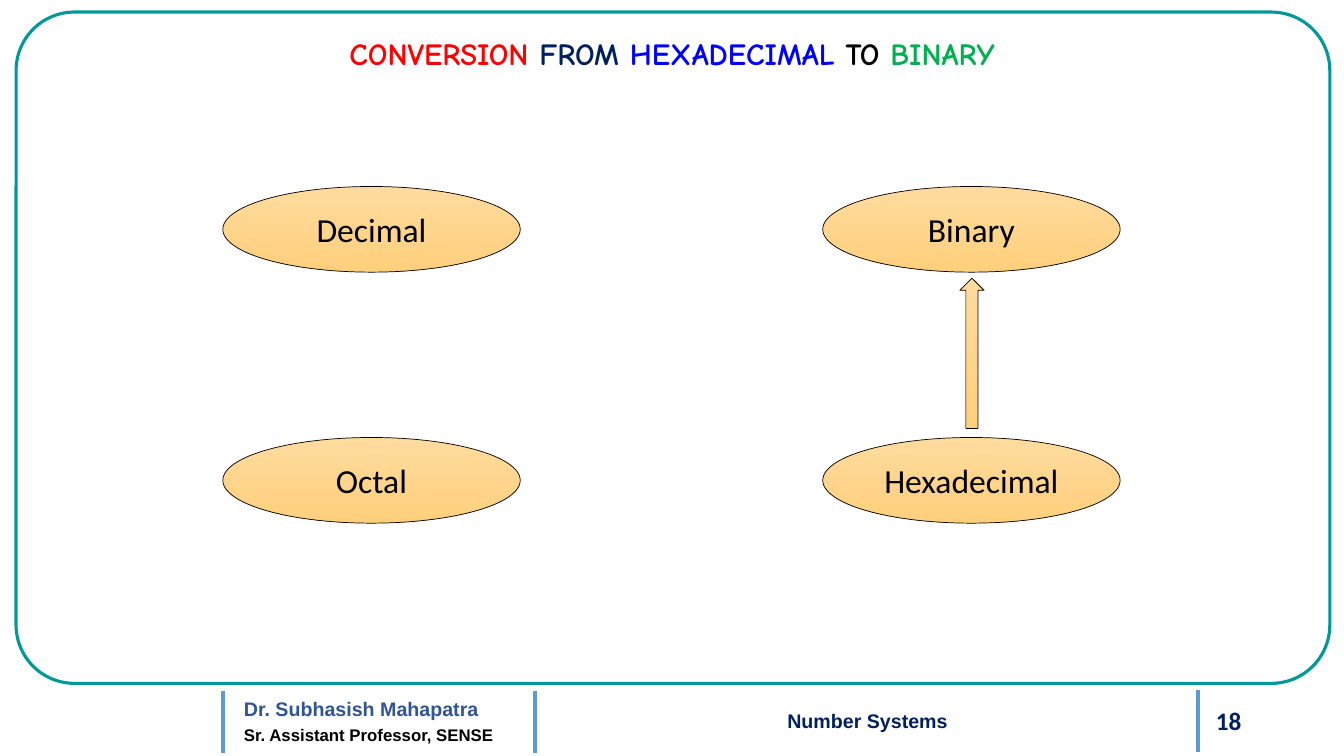
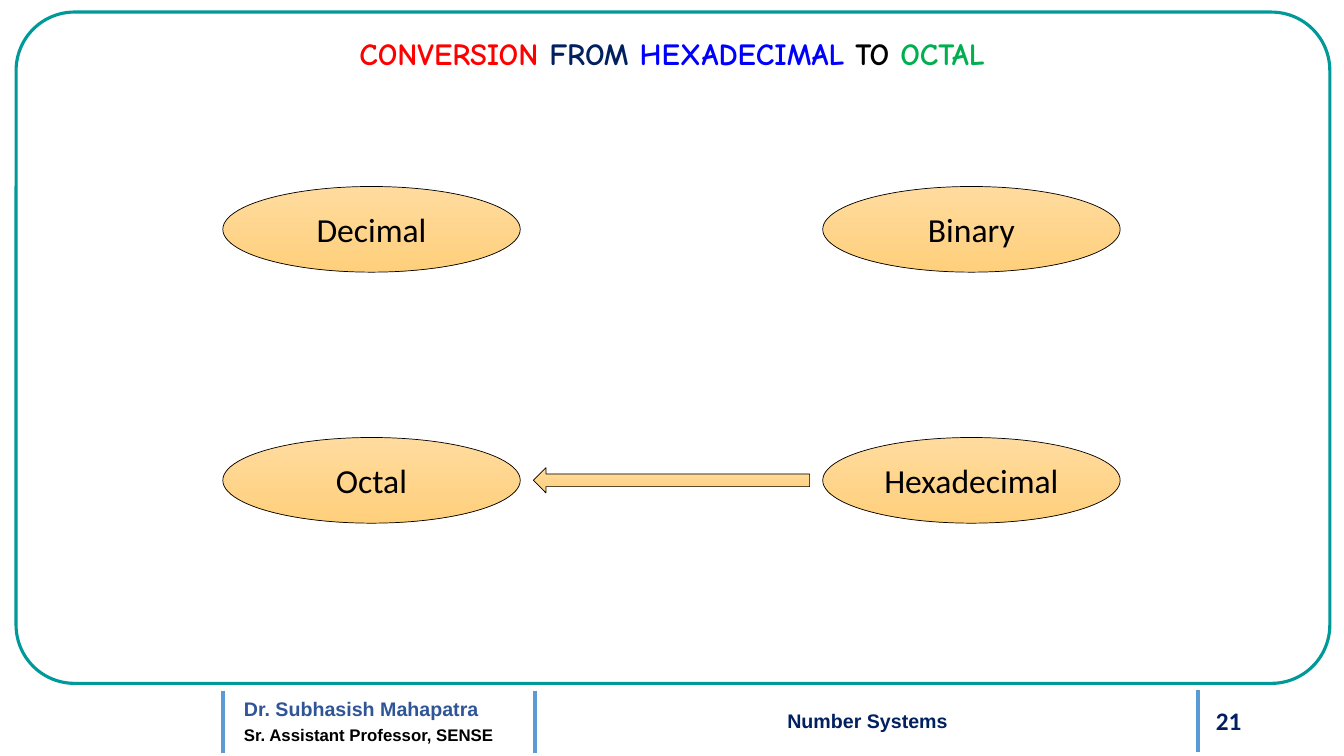
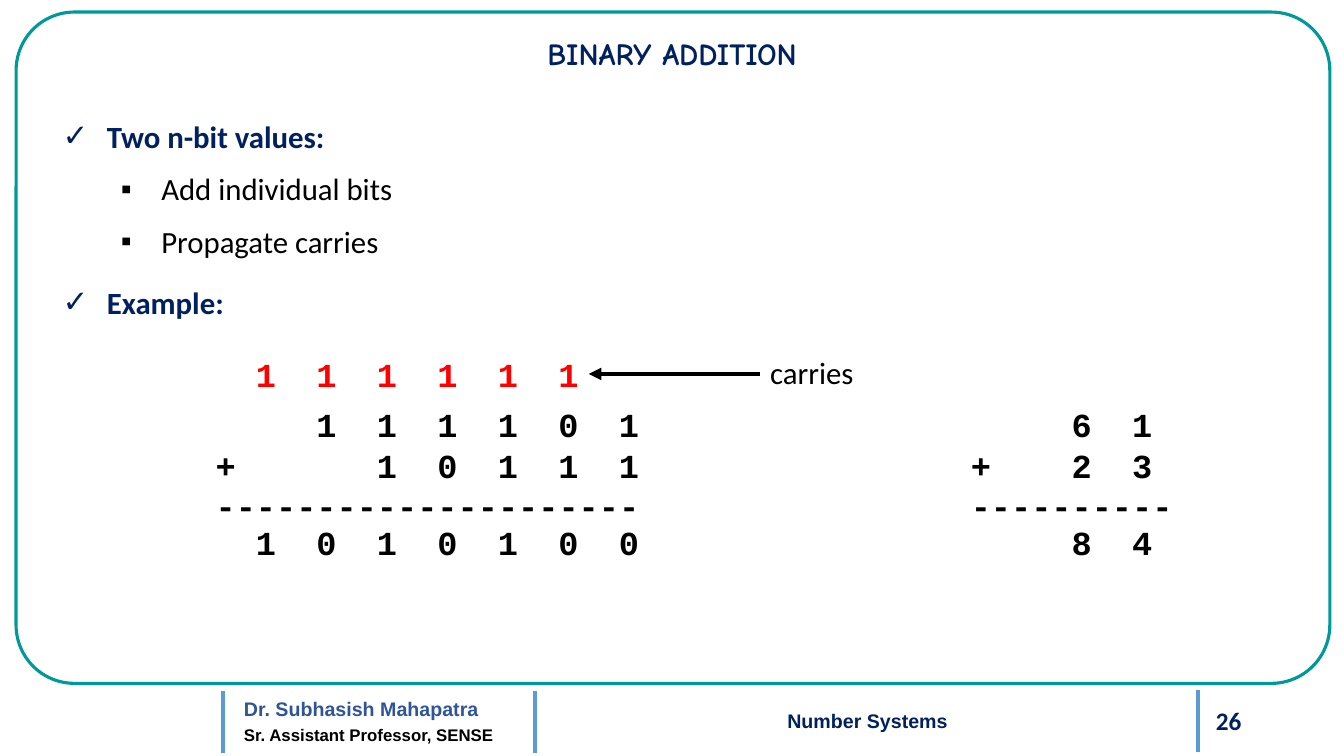
from lxml import etree
from pptx import Presentation
from pptx import util as u
from pptx.dml.color import RGBColor
from pptx.enum import shapes as sh, text as tx
from pptx.oxml import ns

WIDE, HIGH = 13.33, 7.5
WHITE = RGBColor(0xFF, 0xFF, 0xFF)
BLACK = RGBColor(0, 0, 0)
RED = RGBColor(0xFF, 0, 0)
GREEN = RGBColor(0, 0xB0, 0x50)
BLUE = RGBColor(0, 0, 0xFF)
NAVY = RGBColor(0, 0x20, 0x60)
STEEL = RGBColor(0x2F, 0x55, 0x97)
SKY = RGBColor(0x5B, 0x9B, 0xD5)
TEAL = RGBColor(0, 0x99, 0x99)
PALE = RGBColor(0xFF, 0xDB, 0x9E)
AMBER = RGBColor(0xFF, 0xD0, 0x7C)

SHAPE = sh.MSO_SHAPE
ALIGN = tx.PP_ALIGN
ANCHOR = tx.MSO_ANCHOR

# Shared margins of title and body
LEFT, SPAN = 0.52, 12.29

# Grid of the diagram: ovals in two columns and two rows
OVAL_W, OVAL_H = 2.95, 0.85
COLS = [2.21, 8.16]
ROWS = [1.85, 4.34]

# Grid of the sums: one cell per digit
PITCH, CELL_W, CELL_H = 0.6, 0.4, 0.5
INSET = 0.1
CARRY_Y, SUM_Y, TOTAL_Y = 3.46, 3.96, 5.13
CODE = dict(font="Courier New", size=24, bold=True)


def inches(*vals):
    return [u.Inches(v) for v in vals]


def add_xml(para, tag, **attrs):
    return etree.SubElement(para._p.get_or_add_pPr(), ns.qn(tag), **attrs)


def write(para, words, font="Calibri", size=22, color=BLACK, bold=False,
          align=None, lead=None, after=None):
    """Add one run to a paragraph and format both."""
    run = para.add_run()
    run.text = words
    run.font.name, run.font.size, run.font.bold = font, u.Pt(size), bold
    run.font.color.rgb = color
    if align is not None:
        para.alignment = align
    if lead:
        para.line_spacing = lead
    if after is not None:
        para.space_before, para.space_after = u.Pt(0), u.Pt(after)


def next_para(frame):
    first = frame.paragraphs[0]
    return first if not first.runs else frame.add_paragraph()


def add_box(slide, at, words="", wrap=True, anchor=ANCHOR.TOP, **fmt):
    box = slide.shapes.add_textbox(*inches(*at))
    frame = box.text_frame
    frame.word_wrap, frame.vertical_anchor = wrap, anchor
    if words:
        write(frame.paragraphs[0], words, **fmt)
    return box


def place(holder, at):
    """Move a placeholder and reset its frame."""
    holder.left, holder.top, holder.width, holder.height = inches(*at)
    frame = holder.text_frame
    frame.auto_size = tx.MSO_AUTO_SIZE.NONE
    frame.vertical_anchor = ANCHOR.TOP
    return frame


def add_shape(slide, kind, at, line, weight):
    shape = slide.shapes.add_shape(kind, *inches(*at))
    shape.shadow.inherit = False
    shape.line.color.rgb, shape.line.width = line, u.Pt(weight)
    return shape


def add_line(slide, x1, y1, x2, y2, color):
    line = slide.shapes.add_connector(
        sh.MSO_CONNECTOR.STRAIGHT, *inches(x1, y1, x2, y2))
    line.line.color.rgb, line.line.width = color, u.Pt(3)
    etree.SubElement(line._element.spPr, ns.qn("a:effectLst"))
    return line


def add_amber(slide, kind, at):
    """Add a shape with the amber gradient and a thin outline."""
    shape = add_shape(slide, kind, at, BLACK, 0.5)
    shape.fill.gradient()
    shape.fill.gradient_angle = 270
    for stop, color in zip(shape.fill.gradient_stops, (PALE, AMBER)):
        stop.color.rgb = color
    return shape


def start_slide(prs, layout, number, title):
    """Add a slide with frame, footer and title."""
    slide = prs.slides.add_slide(prs.slide_layouts[layout])
    frame = add_shape(slide, SHAPE.ROUNDED_RECTANGLE,
                      (0.16, 0.12, 13.03, 6.66), TEAL, 2.25)
    frame.adjustments[0] = 0.087
    frame.fill.solid()
    frame.fill.fore_color.rgb = WHITE
    slide.shapes._spTree.insert(2, frame._element)  # behind the title

    # Footer
    owner = add_box(slide, (2.32, 6.82, 3.35, 0.63)).text_frame
    for words, size, color in (("Dr. Subhasish Mahapatra", 14, STEEL),
                               ("Sr. Assistant Professor, SENSE", 12, BLACK)):
        write(next_para(owner), words, font="Arial", size=size, color=color,
              bold=True, align=ALIGN.JUSTIFY, lead=1.2)
    add_box(slide, (11.04, 6.95, 1.37, 0.4), str(number), size=18,
            color=NAVY, bold=True, align=ALIGN.RIGHT, anchor=ANCHOR.MIDDLE)
    add_box(slide, (5.96, 6.98, 5.29, 0.34), "Number Systems", font="Arial",
            size=14, color=NAVY, bold=True, align=ALIGN.CENTER)
    for x, y in ((2.21, 6.86), (5.31, 6.86), (11.88, 6.85)):
        add_line(slide, x, y, x, y + 0.61, SKY)

    # Title
    head = place(slide.shapes.title, (LEFT, 0.29, SPAN, 0.47)).paragraphs[0]
    for words, color in title:
        write(head, words, font="Comic Neue", color=color, bold=True,
              align=ALIGN.CENTER)
    return slide


def add_bases(prs, number, target, arrow, at):
    """Add a conversion slide: four number bases and one arrow."""
    slide = start_slide(prs, 5, number, [
        ("CONVERSION", RED), (" FROM ", NAVY), ("HEXADECIMAL ", BLUE),
        ("TO", BLACK), (" " + target, GREEN)])
    names = (("Decimal", "Binary"), ("Octal", "Hexadecimal"))
    for y, row in zip(ROWS, names):
        for x, name in zip(COLS, row):
            oval = add_amber(slide, SHAPE.OVAL, (x, y, OVAL_W, OVAL_H))
            frame = oval.text_frame
            frame.vertical_anchor = ANCHOR.MIDDLE
            write(frame.paragraphs[0], name, size=24, align=ALIGN.CENTER)
    add_amber(slide, arrow, at)


def add_digits(slide, x, y, digits, color=BLACK):
    """Set digits in cells from x on; return the last cell."""
    for i, digit in enumerate(digits):
        cell = add_box(slide, (x + i * PITCH, y, CELL_W, CELL_H), digit,
                       wrap=False, color=color, **CODE)
    return cell


def add_sum(slide, left, width, start, terms, total, dashes):
    """Add a column sum whose digits end at the last digit of the total."""
    frame = add_box(slide, (left, SUM_Y, width, 1.31)).text_frame
    for sign, digits in zip(("", "+"), terms):
        para = next_para(frame)
        tabs = add_xml(para, "a:tabLst")
        for col in range(len(total) - len(digits), len(total)):
            stop = u.Inches(start + col * PITCH - left)
            etree.SubElement(tabs, ns.qn("a:tab"), pos=str(stop), algn="l")
        write(para, "\t".join([sign, *digits]), **CODE)
    write(next_para(frame), "-" * dashes, **CODE)
    add_digits(slide, start, TOTAL_Y, total)


def add_bullets(frame, items):
    for words, level, after in items:
        para = next_para(frame)
        margin, hang, mark = ((0.44, 0.44, "✓"), (0.98, 0.4, "▪"))[level]
        write(para, words, color=BLACK if level else NAVY, bold=not level,
              lead=1.2, after=after)
        props = para._p.get_or_add_pPr()
        props.set("marL", str(u.Inches(margin)))
        props.set("indent", str(-u.Inches(hang)))
        add_xml(para, "a:buChar", char=mark)


def add_addition(prs):
    slide = start_slide(prs, 1, 26, [("BINARY ADDITION", NAVY)])
    body = place(slide.placeholders[1], (LEFT, 1.04, SPAN, 2.19))
    add_bullets(body, [("Two n-bit values:", 0, 6),
                       ("Add individual bits", 1, 6),
                       ("Propagate carries", 1, 12),
                       ("Example:", 0, 6)])

    # Binary sum, then the same sum in decimal
    start = 2.44
    add_sum(slide, 2.04, 4.44, start, ("111101", "10111"), "1010100", 21)
    add_sum(slide, 9.53, 2.22, 10.53, ("61", "23"), "84", 10)

    # Carries and their label
    last = add_digits(slide, start, CARRY_Y, "111111", RED)
    label = add_box(slide, (7.54, CARRY_Y, 1.04, CELL_H), "carries",
                    wrap=False)
    mid = CARRY_Y + CELL_H / 2
    arrow = add_line(slide, 7.54, mid, 5.84, mid, BLACK)
    arrow.begin_connect(label, 1)
    arrow.end_connect(last, 3)
    etree.SubElement(arrow.line._get_or_add_ln(), ns.qn("a:tailEnd"),
                     type="triangle")


def main():
    prs = Presentation()
    prs.slide_width, prs.slide_height = inches(WIDE, HIGH)
    add_bases(prs, 18, "BINARY", SHAPE.UP_ARROW, (9.52, 2.76, 0.24, 1.49))
    add_bases(prs, 21, "OCTAL", SHAPE.LEFT_ARROW, (5.29, 4.64, 2.74, 0.25))
    add_addition(prs)
    prs.save("out.pptx")


if __name__ == "__main__":
    main()
